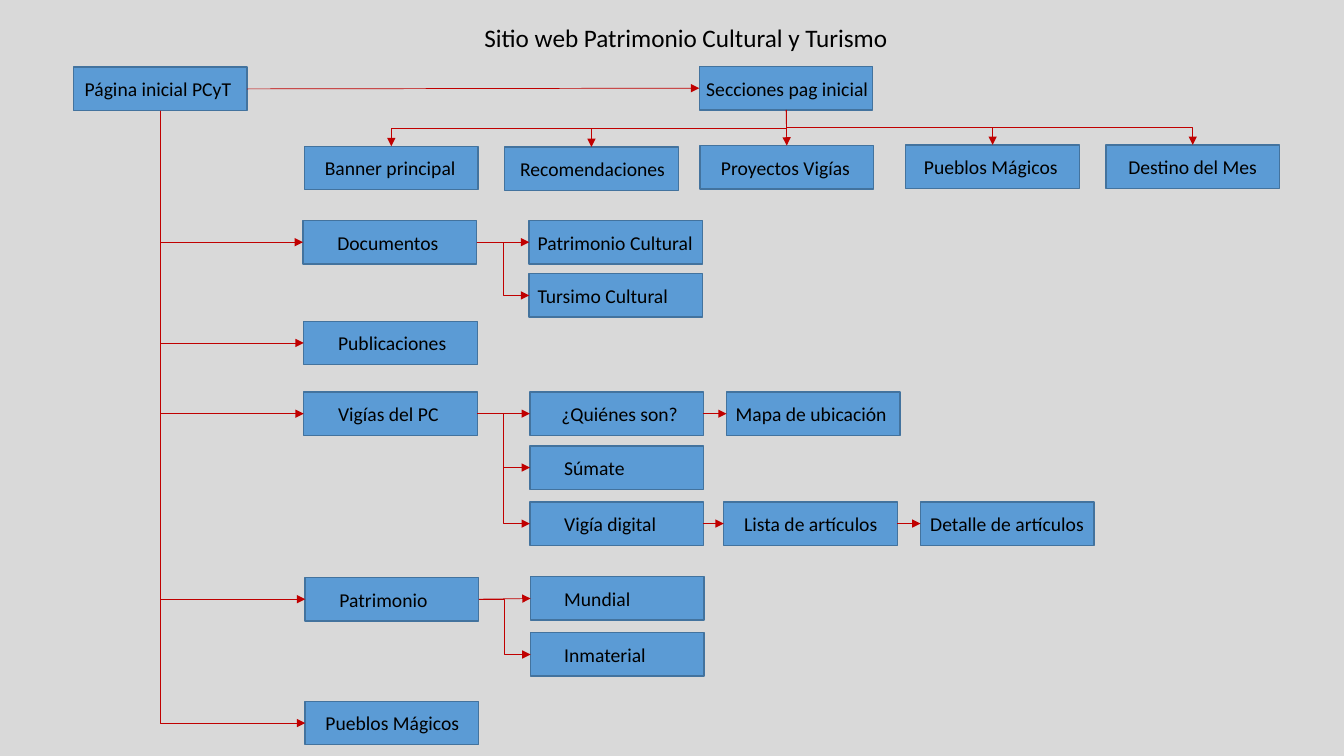
from dataclasses import dataclass

from lxml import etree
from pptx import Presentation
from pptx.dml.color import RGBColor
from pptx.enum.shapes import MSO_CONNECTOR, MSO_SHAPE
from pptx.enum.text import MSO_ANCHOR, PP_ALIGN
from pptx.oxml.ns import qn
from pptx.util import Pt

RECTANGLE = MSO_SHAPE.RECTANGLE
STRAIGHT, ELBOW = MSO_CONNECTOR.STRAIGHT, MSO_CONNECTOR.ELBOW
MIDDLE, LEFT = MSO_ANCHOR.MIDDLE, PP_ALIGN.LEFT
TOP_SITE, LEFT_SITE, BOTTOM_SITE, RIGHT_SITE = range(4)
QUARTER_TURN = 5400000


@dataclass(frozen=True)
class Theme:
    font: str = "Calibri"
    title_size: int = 18
    label_size: int = 14
    text: RGBColor = RGBColor(0x00, 0x00, 0x00)
    background: RGBColor = RGBColor(0xD9, 0xD9, 0xD9)
    box_fill: RGBColor = RGBColor(0x5B, 0x9B, 0xD5)
    box_line: RGBColor = RGBColor(0x43, 0x73, 0x9E)
    arrow: RGBColor = RGBColor(0xC0, 0x00, 0x00)


THEME = Theme()
BOX_WIDTH, BOX_HEIGHT = 124, 31

# key: (label, left, top, text indent)
NODES = {
    "inicio": ("Página inicial PCyT", 52.5, 48, 8),
    "secciones": ("Secciones pag inicial", 499.5, 47.5, 5),
    "banner": ("Banner principal", 217.5, 104.5, 14.5),
    "recomendaciones": ("Recomendaciones", 360.5, 105, 11),
    "proyectos": ("Proyectos Vigías", 500, 104, 15),
    "pueblos sección": ("Pueblos Mágicos", 647, 103.5, 13),
    "destino": ("Destino del Mes", 790, 103.5, 16),
    "documentos": ("Documentos", 216.5, 157.5, 24.5),
    "cultural": ("Patrimonio Cultural", 378, 157.5, 6),
    "turismo": ("Tursimo Cultural", 378, 195.5, 6),
    "publicaciones": ("Publicaciones", 217, 229.5, 24.5),
    "vigías": ("Vigías del PC", 217, 280, 24.5),
    "quiénes": ("¿Quiénes son?", 378.5, 280, 22.5),
    "mapa": ("Mapa de ubicación", 519, 280, 6.5),
    "súmate": ("Súmate", 378.5, 318.5, 24.5),
    "digital": ("Vigía digital", 378.5, 358.5, 24.5),
    "lista": ("Lista de artículos", 517, 358.5, 14.5),
    "detalle": ("Detalle de artículos", 657.5, 358.5, 7),
    "patrimonio": ("Patrimonio", 218, 412.5, 24.5),
    "mundial": ("Mundial", 379, 412, 24),
    "inmaterial": ("Inmaterial", 379, 452, 24),
    "pueblos": ("Pueblos Mágicos", 218, 501, 14.5),
}
TRUNK = ("inicio", ["documentos", "publicaciones", "vigías", "patrimonio", "pueblos"])
SECTIONS = ("secciones", ["banner", "recomendaciones", "proyectos",
                          "pueblos sección", "destino"])
BRANCHES = [
    ("inicio", ["secciones"]),
    ("documentos", ["cultural", "turismo"]),
    ("vigías", ["quiénes", "súmate", "digital"]),
    ("quiénes", ["mapa"]),
    ("digital", ["lista"]),
    ("lista", ["detalle"]),
    ("patrimonio", ["mundial", "inmaterial"]),
]


def write_text(shape, text, size, indent):
    frame = shape.text_frame
    frame.word_wrap = True
    frame.vertical_anchor = MIDDLE
    frame.margin_left = Pt(indent)
    frame.margin_right = frame.margin_top = frame.margin_bottom = 0
    para = frame.paragraphs[0]
    para.text = text
    para.alignment = LEFT
    para.font.name = THEME.font
    para.font.size = Pt(size)
    para.font.color.rgb = THEME.text


def add_title(page):
    box = page.shapes.add_textbox(Pt(339), Pt(12.5), Pt(306), Pt(29))
    write_text(box, "Sitio web Patrimonio Cultural y Turismo", THEME.title_size, 7)


def add_node(page, label, left, top, indent):
    box = page.shapes.add_shape(
        RECTANGLE, Pt(left), Pt(top), Pt(BOX_WIDTH), Pt(BOX_HEIGHT))
    box.shadow.inherit = False
    box.fill.solid()
    box.fill.fore_color.rgb = THEME.box_fill
    box.line.color.rgb = THEME.box_line
    box.line.width = Pt(1)
    write_text(box, label, THEME.label_size, indent)
    return box


def add_arrow(page, parent, child, exit_site, entry_site):
    dx, dy = child.left - parent.left, child.top - parent.top
    straight = min(abs(dx), abs(dy)) < Pt(2)
    arrow = page.shapes.add_connector(STRAIGHT if straight else ELBOW, 0, 0, 0, 0)
    arrow.begin_connect(parent, exit_site)
    arrow.end_connect(child, entry_site)
    arrow.line.color.rgb = THEME.arrow
    arrow.line.width = Pt(0.5)
    line = arrow.line._get_or_add_ln()
    etree.SubElement(line, qn("a:tailEnd"), type="triangle")
    etree.SubElement(arrow._element.spPr, qn("a:effectLst"))
    if exit_site == BOTTOM_SITE and not straight:
        leave_downwards(arrow, rightwards=dx > 0)
        if entry_site == LEFT_SITE:
            arrow._element.spPr.find(qn("a:prstGeom")).set("prst", "bentConnector2")


def leave_downwards(arrow, rightwards):
    """Turn an elbow about its centre so that its first leg is vertical."""
    left, top, width, height = arrow.left, arrow.top, arrow.width, arrow.height
    arrow.left = left + (width - height) // 2
    arrow.top = top + (height - width) // 2
    arrow.width, arrow.height = height, width
    frame = arrow._element.spPr.find(qn("a:xfrm"))
    frame.set("rot", str(QUARTER_TURN * (3 if rightwards else 1)))
    frame.set("flipH", "1" if rightwards else "0")
    frame.set("flipV", "0")


def main():
    deck = Presentation()
    deck.slide_width, deck.slide_height = Pt(960), Pt(540)
    page = deck.slides.add_slide(deck.slide_layouts[6])
    page.background.fill.solid()
    page.background.fill.fore_color.rgb = THEME.background

    add_title(page)
    boxes = {key: add_node(page, *node) for key, node in NODES.items()}
    routes = [(*TRUNK, BOTTOM_SITE, LEFT_SITE), (*SECTIONS, BOTTOM_SITE, TOP_SITE)]
    routes += [(*branch, RIGHT_SITE, LEFT_SITE) for branch in BRANCHES]
    for parent, children, exit_site, entry_site in routes:
        for child in children:
            add_arrow(page, boxes[parent], boxes[child], exit_site, entry_site)
    deck.save("out.pptx")


if __name__ == "__main__":
    main()
